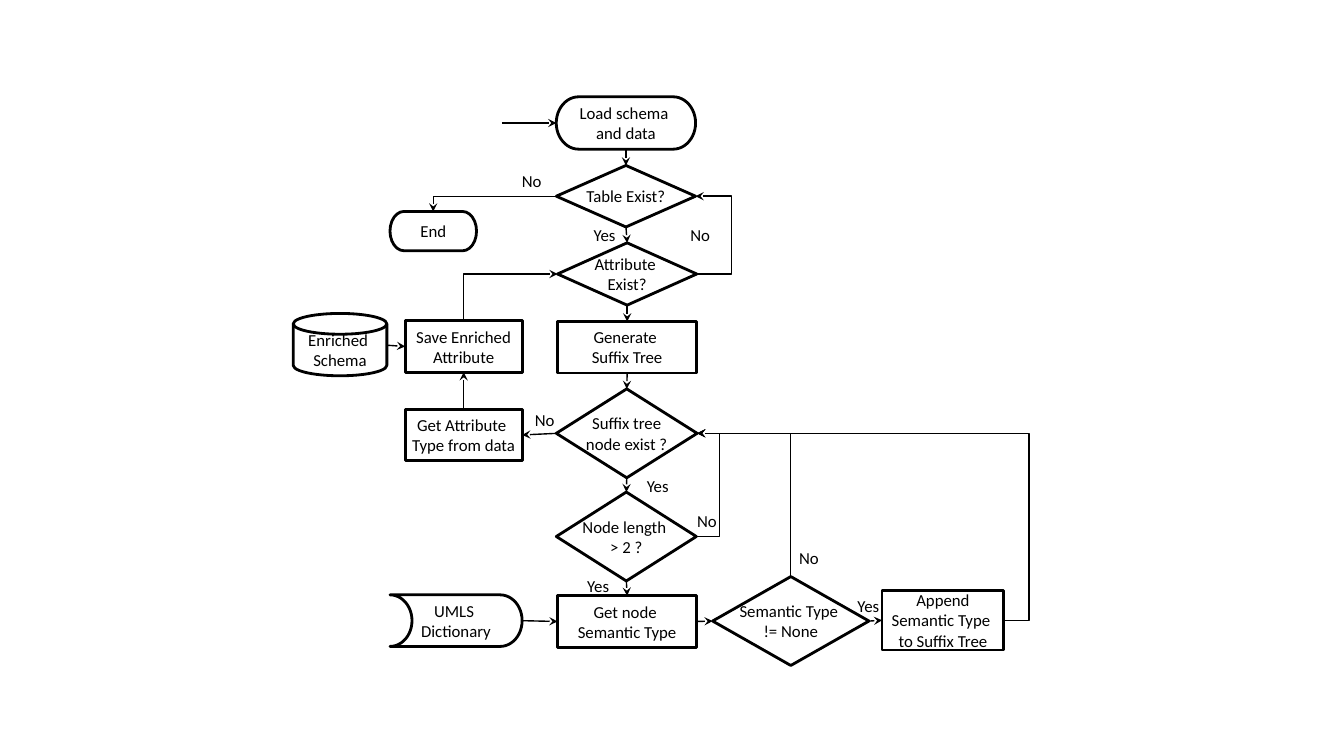
from dataclasses import dataclass

from pptx import Presentation
from pptx.dml.color import RGBColor
from pptx.enum.shapes import MSO_CONNECTOR, MSO_SHAPE
from pptx.enum.text import MSO_ANCHOR, MSO_AUTO_SIZE, PP_ALIGN
from pptx.oxml.ns import qn
from pptx.oxml.xmlchemy import OxmlElement
from pptx.util import Cm, Pt


@dataclass(frozen=True)
class Theme:
    ink: RGBColor = RGBColor(0, 0, 0)
    font: str = "Calibri"
    size: Pt = Pt(12)
    box_line: Pt = Pt(2)
    arrow_line: Pt = Pt(1)


THEME = Theme()
TOP, LEFT, BOTTOM, RIGHT = range(4)


def write(tf, text, align=PP_ALIGN.LEFT, anchor=MSO_ANCHOR.TOP):
    tf.word_wrap = False
    tf.vertical_anchor = anchor
    for i, line in enumerate(text.split("\n")):
        p = tf.add_paragraph() if i else tf.paragraphs[0]
        p.alignment = align
        r = p.add_run()
        r.text = line
        r.font.name = THEME.font
        r.font.size = THEME.size
        r.font.color.rgb = THEME.ink


def stroke(line, width):
    line.color.rgb = THEME.ink
    line.width = width


def box(slide, kind, text, x, y, w, h):
    s = slide.shapes.add_shape(kind, Cm(x), Cm(y), Cm(w), Cm(h))
    s.shadow.inherit = False
    s.fill.background()
    stroke(s.line, THEME.box_line)
    write(s.text_frame, text, align=PP_ALIGN.CENTER, anchor=MSO_ANCHOR.MIDDLE)
    return s


def label(slide, text, x, y):
    s = slide.shapes.add_textbox(Cm(x), Cm(y), Cm(1.08), Cm(0.76))
    write(s.text_frame, text)
    s.text_frame.auto_size = MSO_AUTO_SIZE.SHAPE_TO_FIT_TEXT


def arrow(slide, x1=0, y1=0, x2=0, y2=0, kind=MSO_CONNECTOR.STRAIGHT):
    c = slide.shapes.add_connector(kind, Cm(x1), Cm(y1), Cm(x2), Cm(y2))
    stroke(c.line, THEME.arrow_line)
    tail = OxmlElement("a:tailEnd")
    tail.set("type", "stealth")
    c.line._ln.append(tail)
    c.element.spPr.append(OxmlElement("a:effectLst"))
    return c


def link(slide, start, start_site, end, end_site, kind=MSO_CONNECTOR.STRAIGHT):
    c = arrow(slide, kind=kind)
    c.begin_connect(start, start_site)
    c.end_connect(end, end_site)
    return c


def loop_back(slide, start, end, turn_x):
    c = link(slide, start, RIGHT, end, RIGHT, MSO_CONNECTOR.ELBOW)
    ratio = (Cm(turn_x) - c.begin_x) / (c.end_x - c.begin_x)
    gd = OxmlElement("a:gd")
    gd.set("name", "adj1")
    gd.set("fmla", f"val {round(ratio * 100000)}")
    c.element.spPr.find(qn("a:prstGeom")).find(qn("a:avLst")).append(gd)


def corner(slide, start, start_site, end, end_site):
    c = link(slide, start, start_site, end, end_site, MSO_CONNECTOR.ELBOW)
    c.element.spPr.find(qn("a:prstGeom")).set("prst", "bentConnector2")
    if start_site in (LEFT, RIGHT):
        return
    dx, dy = c.end_x - c.begin_x, c.end_y - c.begin_y
    mid_x, mid_y = c.begin_x + dx // 2, c.begin_y + dy // 2
    c.width, c.height = abs(dy), abs(dx)
    c.left, c.top = mid_x - c.width // 2, mid_y - c.height // 2
    xfrm = c.element.spPr.find(qn("a:xfrm"))
    xfrm.set("rot", str(90 * 60000))
    xfrm.set("flipH", str(int(dy < 0)))
    xfrm.set("flipV", str(int(dx > 0)))


def main():
    prs = Presentation()
    prs.slide_width, prs.slide_height = Cm(33.87), Cm(19.05)
    slide = prs.slides.add_slide(prs.slide_layouts[6])

    terminator = MSO_SHAPE.FLOWCHART_TERMINATOR
    decision = MSO_SHAPE.FLOWCHART_DECISION
    process = MSO_SHAPE.FLOWCHART_PROCESS

    load = box(slide, terminator, "Load schema \nand data", 14.02, 2.44, 3.51, 1.32)
    table = box(slide, decision, "Table Exist?", 14.02, 4.17, 3.51, 1.55)
    attribute = box(slide, decision, "Attribute \nExist?", 14.05, 6.12, 3.51, 1.57)
    generate = box(slide, process, "Generate \nSuffix Tree", 14.05, 8.1, 3.51, 1.3)
    suffix = box(slide, decision, "Suffix tree\n node exist ? ", 14.02, 9.8, 3.55, 2.24)
    length = box(slide, decision, "Node length \n> 2 ?", 14.02, 12.4, 3.53, 2.24)
    node = box(slide, process, "Get node \nSemantic Type", 14.05, 15.01, 3.51, 1.3)
    semantic = box(slide, decision, "Semantic Type \n!= None", 17.96, 14.53, 3.94, 2.24)
    append = box(slide, process, "Append\nSemantic Type \nto Suffix Tree",
                 22.23, 14.88, 3.07, 1.5)
    get_type = box(slide, process, "Get Attribute \nType from data", 10.21, 10.31, 2.95, 1.3)
    save = box(slide, process, "Save Enriched\nAttribute", 10.21, 8.08, 2.95, 1.3)
    end = box(slide, terminator, "End", 9.83, 5.33, 2.18, 0.99)
    box(slide, MSO_SHAPE.FLOWCHART_MAGNETIC_DISK, "Enriched \nSchema", 7.39, 7.9, 2.36, 1.57)
    umls = box(slide, MSO_SHAPE.FLOWCHART_STORED_DATA, "UMLS \nDictionary",
               9.83, 14.99, 3.33, 1.3)
    umls.element.spPr.find(qn("a:xfrm")).set("flipH", "1")

    column = [load, table, attribute, generate, suffix, length, node]
    for upper, lower in zip(column, column[1:]):
        link(slide, upper, BOTTOM, lower, TOP)
    link(slide, suffix, LEFT, get_type, RIGHT)
    link(slide, get_type, TOP, save, BOTTOM)
    link(slide, node, RIGHT, semantic, LEFT)
    link(slide, semantic, RIGHT, append, LEFT)
    arrow(slide, 12.65, 3.1, 14.02, 3.1)
    arrow(slide, 9.75, 8.7, 10.21, 8.73)
    arrow(slide, 13.16, 15.64, 14.05, 15.66)

    loop_back(slide, attribute, table, 18.44)
    loop_back(slide, length, suffix, 18.14)
    loop_back(slide, append, suffix, 25.93)
    corner(slide, table, LEFT, end, TOP)
    corner(slide, save, TOP, attribute, LEFT)
    corner(slide, semantic, TOP, suffix, RIGHT)

    for x, y in [(14.71, 5.54), (16.05, 11.86), (14.55, 14.38), (21.36, 14.88)]:
        label(slide, "Yes", x, y)
    for x, y in [(12.9, 4.17), (17.15, 5.54), (13.23, 10.21), (17.32, 12.75), (19.89, 13.67)]:
        label(slide, "No", x, y)

    prs.save("out.pptx")


if __name__ == "__main__":
    main()
